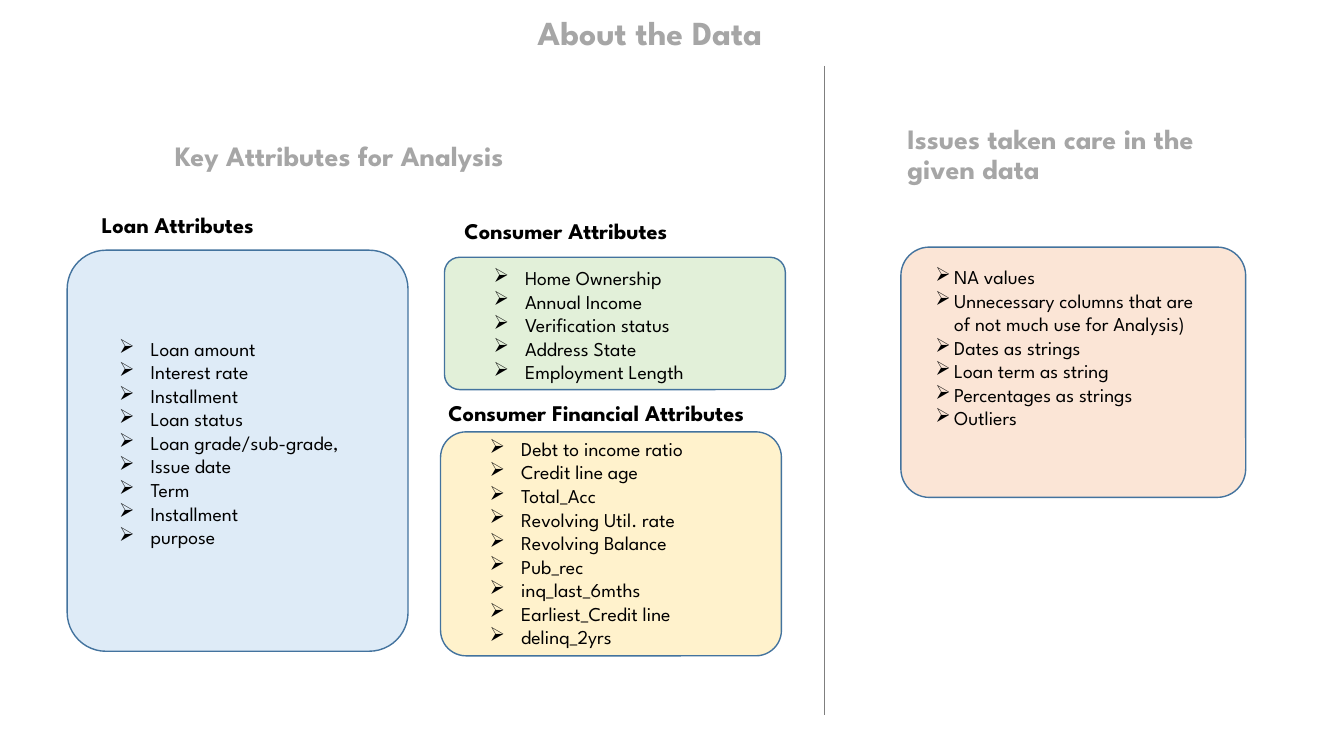
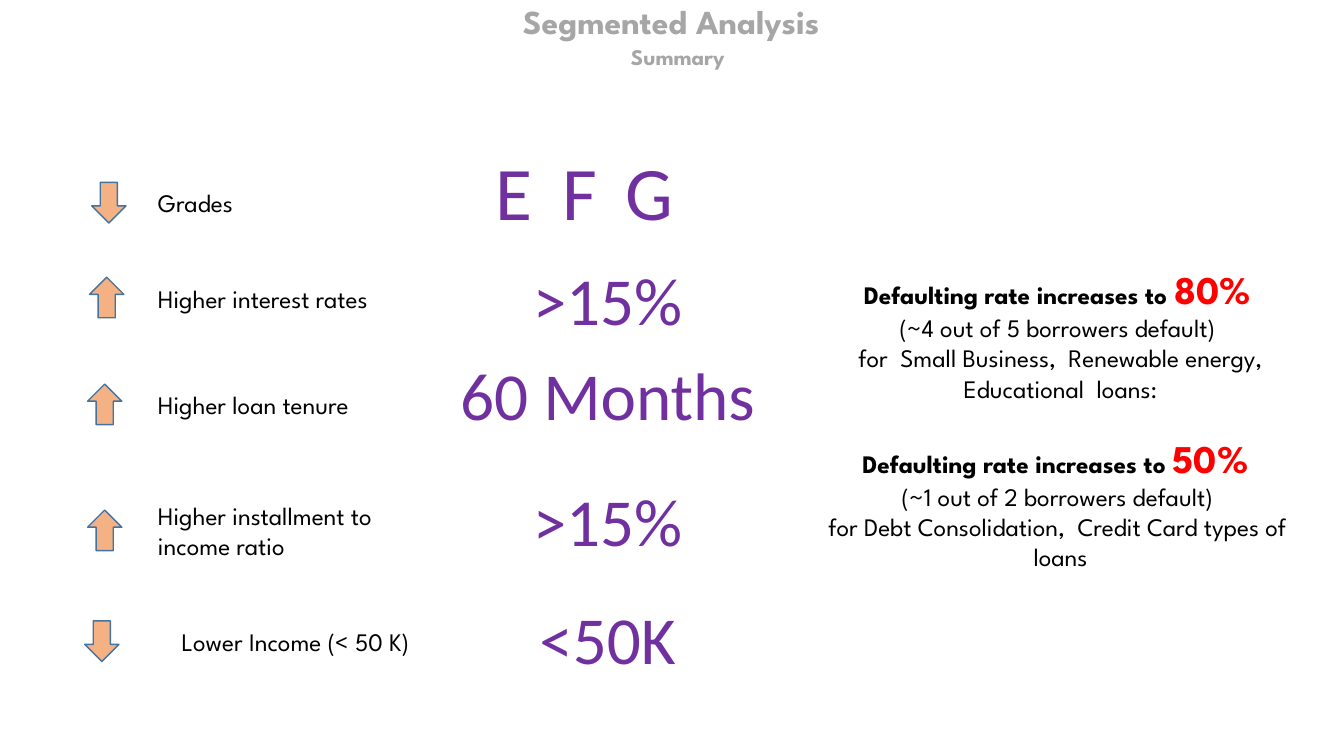
from lxml.etree import SubElement
from pptx import Presentation
from pptx.dml.color import RGBColor
from pptx.enum.shapes import MSO_CONNECTOR, MSO_SHAPE
from pptx.enum.text import MSO_ANCHOR as Anchor, PP_ALIGN as Align
from pptx.oxml.ns import qn
from pptx.util import Pt

COLORS = {
    "title": "A6A6A6", "text": "000000", "outline": "43739E", "divider": "7F7F7F",
    "blue": "DEEBF7", "green": "E2F0D9", "yellow": "FFF2CC", "peach": "FBE5D6",
    "arrow": "F4B183", "value": "7030A0", "alert": "FF0000",
}


class DeckStyle:
    """Holds the deck style and the current slide, with one method per kind of element."""

    font = "League Spartan"
    value_font = "Calibri"

    def __init__(self):
        self.deck = Presentation()
        self.deck.slide_width, self.deck.slide_height = Pt(960), Pt(540)
        self.page = None

    def new_page(self):
        self.page = self.deck.slides.add_slide(self.deck.slide_layouts[6])

    def color(self, name):
        return RGBColor.from_string(COLORS[name])

    def span(self, para, text, size, color="text", bold=False, font=None):
        span = para.add_run()
        span.text = text
        span.font.size, span.font.bold = Pt(size), bold
        span.font.name = font or self.font
        span.font.color.rgb = self.color(color)

    def text(self, area, paras, align=Align.LEFT, anchor=Anchor.TOP, spacing=None):
        frame = self.page.shapes.add_textbox(*map(Pt, area)).text_frame
        frame.word_wrap, frame.vertical_anchor = True, anchor
        for index, spans in enumerate(paras):
            para = frame.add_paragraph() if index else frame.paragraphs[0]
            para.alignment, para.line_spacing = align, spacing
            for span in spans:
                self.span(para, *span)
        return frame

    def title(self, area, paras, align=Align.CENTER):
        self.text(area, [[(words, size, "title", True) for words, size in spans]
                         for spans in paras], align, Anchor.MIDDLE, 0.9)

    def value(self, area, words, size=48):
        self.text(area, [[(words, size, "value", False, self.value_font)]], Align.CENTER)

    def bullets(self, area, items, indent):
        frame = self.text(area, [[(item, 14)] for item in items])
        for para in frame.paragraphs:
            props = para._p.get_or_add_pPr()
            props.set("marL", str(Pt(indent)))
            props.set("indent", str(-Pt(indent)))
            SubElement(props, qn("a:buChar")).set("char", "➢")

    def shape(self, kind, area, color):
        shape = self.page.shapes.add_shape(kind, *map(Pt, area))
        shape.shadow.inherit = False
        shape.fill.solid()
        shape.fill.fore_color.rgb = self.color(color)
        shape.line.color.rgb = self.color("outline")
        shape.line.width = Pt(1)
        return shape

    def card(self, area, color):
        self.shape(MSO_SHAPE.ROUNDED_RECTANGLE, area, color).adjustments[0] = 0.114

    def divider(self, x, top, bottom):
        line = self.page.shapes.add_connector(
            MSO_CONNECTOR.STRAIGHT, Pt(x), Pt(top), Pt(x), Pt(bottom))
        line.line.color.rgb = self.color("divider")
        line.line.width = Pt(0.5)
        SubElement(line._element.spPr, qn("a:effectLst"))


def data_page(style):
    style.new_page()
    style.title((143.3, 3, 642, 44), [[("About the Data", 24)]])
    style.title((118, 76.5, 346, 72), [[("Key Attributes for Analysis", 20)]], Align.LEFT)
    style.title((641, 75, 222.5, 72), [[("Issues taken care in the given data", 20)]],
                Align.LEFT)
    style.divider(589, 47, 510.5)

    cards = [
        ("blue", (48, 178.7, 243.5, 286.5), (78, 237, 209, 160), 22.5,
         ["Loan amount", "Interest rate", "Installment", "Loan status",
          "Loan grade/sub-grade,", "Issue date", "Term", "Installment", "purpose"]),
        ("green", (317.5, 183.8, 243.5, 94.5), (345.5, 186.5, 188, 92), 22.5,
         ["Home Ownership", "Annual Income", "Verification status", "Address State",
          "Employment Length"]),
        ("yellow", (314.7, 308.5, 243.5, 160), (342.7, 308.5, 188, 160), 22.5,
         ["Debt to income ratio", "Credit line age", "Total_Acc", "Revolving Util. rate",
          "Revolving Balance", "Pub_rec", "inq_last_6mths", "Earliest_Credit line",
          "delinq_2yrs"]),
        ("peach", (643.5, 176.5, 246.3, 178.8), (661, 185.8, 211, 143), 13.5,
         ["NA values", "Unnecessary columns that are of not much use for Analysis)",
          "Dates as strings", "Loan term as string", "Percentages as strings",
          "Outliers"]),
    ]
    for color, area, list_area, indent, items in cards:
        style.card(area, color)
        style.bullets(list_area, items, indent)

    headings = [("Loan Attributes", 65.5, 147), ("Consumer Attributes", 324.7, 151.5),
                ("Consumer Financial Attributes", 313.2, 281.7)]
    for words, left, top in headings:
        style.text((left, top, 252, 26.6), [[(words, 16, "text", True)]])


def summary_page(style):
    style.new_page()
    style.title((160.5, -9.4, 647.3, 62.6),
                [[("Segmented Analysis", 24), (" ", 36)], [("Summary", 16)]])

    down, up = MSO_SHAPE.DOWN_ARROW, MSO_SHAPE.UP_ARROW
    factors = [
        ("Grades", 130.3, down, (65.5, 130.3), None, None),
        ("Higher interest rates", 198.7, up, (64, 198), ">15%", 180.7),
        ("Higher loan tenure", 274.3, up, (62.6, 274.3), "60 Months", 249),
        ("Higher installment to income ratio", 353.5, up, (62.6, 364.3), ">15%", 339),
        ("Lower Income (< 50 K)", 443.5, down, (60.5, 443.5), "<50K", 423.4),
    ]
    for label, top, arrow, corner, value, value_top in factors:
        style.shape(arrow, (*corner, 24.5, 29), "arrow")
        left = 122.7 if arrow == down and value else 105.8
        style.text((left, top, 188, 51), [[(label, 18)]])
        if value:
            style.value((276, value_top, 316, 65.5), value)
    for grade, center in zip("EFG", (367.2, 414.4, 463.7)):
        style.value((center - 25, 100, 50, 72.7), grade, 54)

    lead = ("Defaulting rate increases to ", 18, "text", True)
    frame = style.text((581.8, 186, 351.4, 228), [
        [lead, ("80%", 28, "alert", True), (" ", 18, "text", True)],
        [("(~4 out of 5 borrowers default) ", 18)],
        [("for  Small Business,  Renewable energy, Educational  loans:", 18)],
        [lead, ("50% ", 28, "alert", True)],
        [("(~1 out of 2 borrowers default) ", 18)],
        [("for Debt Consolidation,  Credit Card types of  loans", 18)],
    ], Align.CENTER)
    frame.paragraphs[3].space_before = Pt(22)


def main():
    style = DeckStyle()
    data_page(style)
    summary_page(style)
    style.deck.save("out.pptx")


if __name__ == "__main__":
    main()
